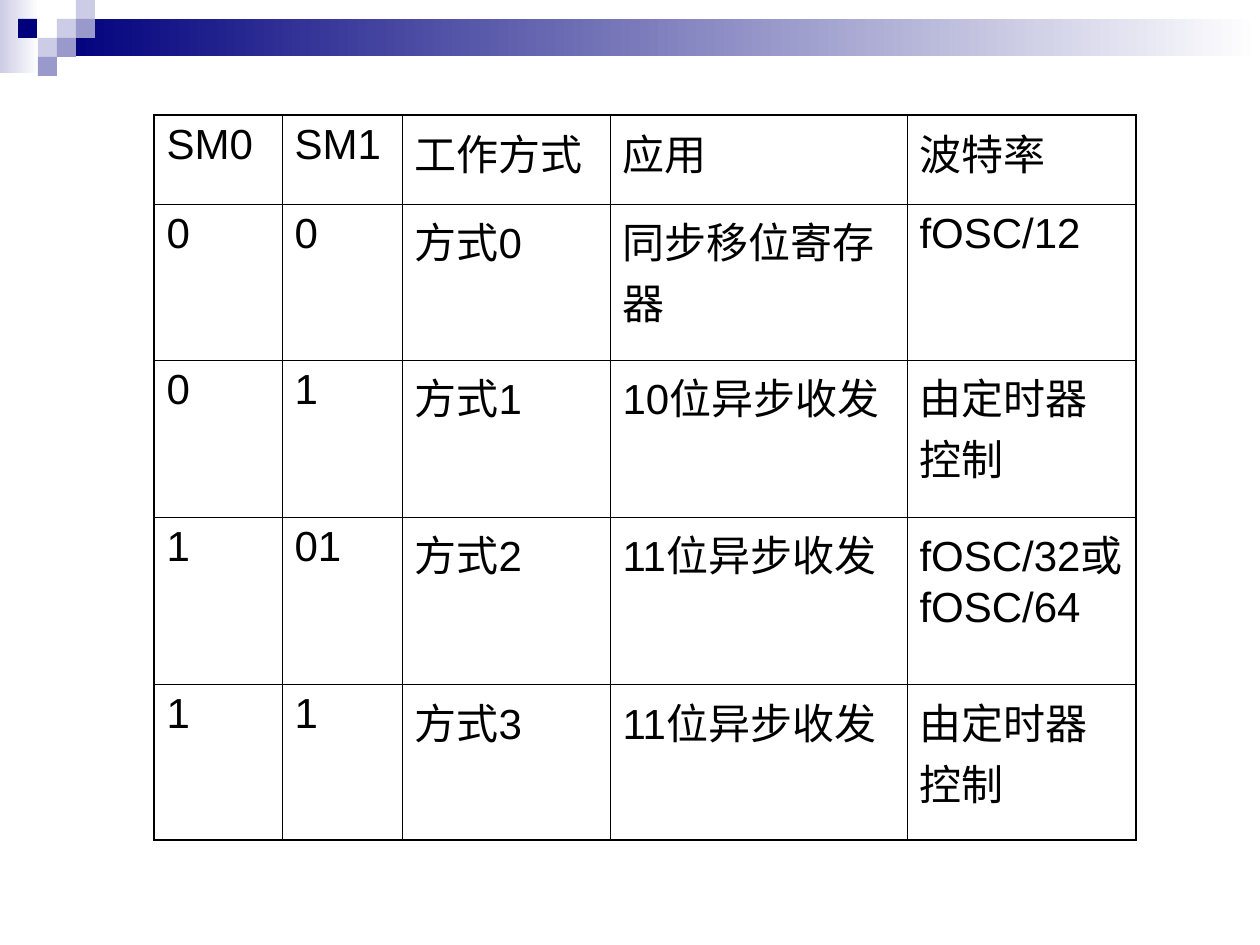
from lxml import etree
from pptx import Presentation
from pptx.dml.color import RGBColor
from pptx.enum import shapes
from pptx.oxml.ns import qn
from pptx.util import Pt

PX = 914400 // 126
NAVY = RGBColor(0x00, 0x00, 0x7D)
MID = RGBColor(0x99, 0x99, 0xCC)
PALE = RGBColor(0xCC, 0xCC, 0xE6)
WHITE = RGBColor(0xFF, 0xFF, 0xFF)
BLACK = RGBColor(0x00, 0x00, 0x00)

# left, top, width, height, colour at the left end; each fades to white
BANDS = [(0, 0, 39, 73, PALE), (57, 19, 1203, 37, NAVY)]
TILE = 19
# left, top, colour
TILES = [
    (57, 19, PALE), (76, 0, PALE), (76, 19, MID), (38, 38, PALE),
    (18, 19, NAVY), (57, 38, MID), (38, 57, MID),
]

TABLE_LEFT, TABLE_TOP = 154, 115
COL_WIDTHS = [128, 120, 208, 297, 229]
ROW_HEIGHTS = [89, 156, 157, 164, 156]
ROWS = [
    ("SM0", "SM1", "工作方式", "应用", "波特率"),
    ("0", "0", "方式0", "同步移位寄存器", "fOSC/12"),
    ("0", "1", "方式1", "10位异步收发", "由定时器控制"),
    ("1", "01", "方式2", "11位异步收发", "fOSC/32或fOSC/64"),
    ("1", "1", "方式3", "11位异步收发", "由定时器控制"),
]
INNER, OUTER = Pt(0.45), Pt(1.08)


def add_rect(slide, left, top, width, height):
    sp = slide.shapes.add_shape(
        shapes.MSO_SHAPE.RECTANGLE, *(v * PX for v in (left, top, width, height)))
    sp.shadow.inherit = False
    sp.line.fill.background()
    return sp


def add_border(cell, side, width):
    ln = etree.SubElement(cell._tc.get_or_add_tcPr(), qn("a:ln" + side), w=str(int(width)))
    fill = etree.SubElement(ln, qn("a:solidFill"))
    etree.SubElement(fill, qn("a:srgbClr"), val=str(BLACK))


def add_decoration(slide):
    for *box, color in BANDS:
        fill = add_rect(slide, *box).fill
        fill.gradient()
        fill.gradient_angle = 0
        for stop, stop_color in zip(fill.gradient_stops, (color, WHITE)):
            stop.color.rgb = stop_color
    for left, top, color in TILES:
        fill = add_rect(slide, left, top, TILE, TILE).fill
        fill.solid()
        fill.fore_color.rgb = color


def add_mode_table(slide):
    n_rows, n_cols = len(ROWS), len(COL_WIDTHS)
    table = slide.shapes.add_table(
        n_rows, n_cols, TABLE_LEFT * PX, TABLE_TOP * PX,
        sum(COL_WIDTHS) * PX, sum(ROW_HEIGHTS) * PX).table
    table.first_row = table.horz_banding = False
    for col, width in zip(table.columns, COL_WIDTHS):
        col.width = width * PX
    for row, height in zip(table.rows, ROW_HEIGHTS):
        row.height = height * PX
    for i, values in enumerate(ROWS):
        for j, value in enumerate(values):
            cell = table.cell(i, j)
            edges = {"L": j == 0, "R": j == n_cols - 1, "T": i == 0, "B": i == n_rows - 1}
            for side, is_outer in edges.items():
                add_border(cell, side, OUTER if is_outer else INNER)
            cell.fill.background()
            cell.text = value
            font = cell.text_frame.paragraphs[0].font
            font.name, font.size = "Arial", Pt(24)
            font.color.rgb = BLACK


def main():
    prs = Presentation()
    prs.slide_width, prs.slide_height = 1260 * PX, 945 * PX
    slide = prs.slides.add_slide(prs.slide_layouts[6])
    add_decoration(slide)
    add_mode_table(slide)
    prs.save("out.pptx")


if __name__ == "__main__":
    main()
